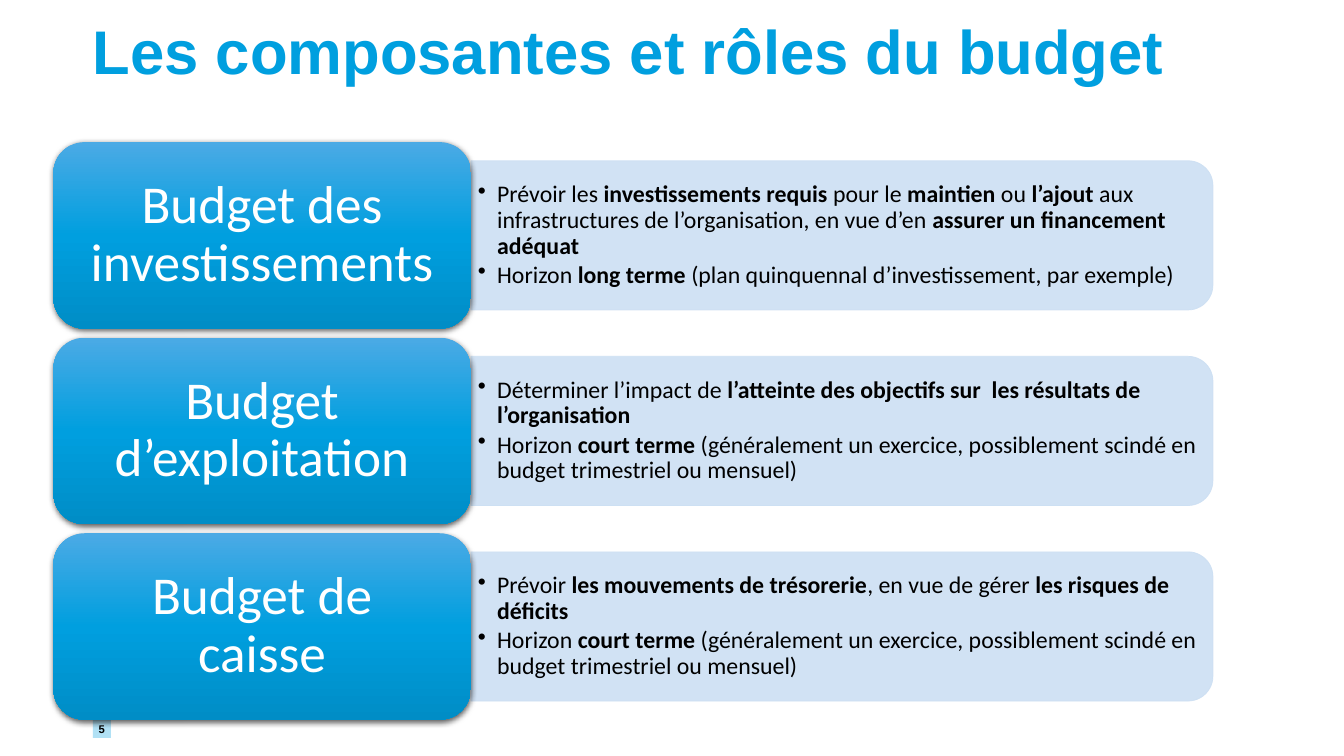
import copy
import enum
import pptx
import pptx.dml.color
import pptx.enum.shapes
import pptx.enum.text
import pptx.oxml
import pptx.oxml.ns
import pptx.util

Inches = pptx.util.Inches
Pt = pptx.util.Pt
Shape = pptx.enum.shapes.MSO_SHAPE
Align = pptx.enum.text.PP_ALIGN
Anchor = pptx.enum.text.MSO_ANCHOR
qn = pptx.oxml.ns.qn
NS = pptx.oxml.ns.nsdecls("a")


class Theme:
    blue, pale, badge = "009FDF", "CCDFF3", "3CB5E6"
    fade = ("4BAAE5", "009FDF", "008DC6")
    black, white = "000000", "FFFFFF"
    head, body = "Arial", "Calibri"
    title, card, item, page = 44, 38, 17, 8


ROWS = [
    ("Budget des investissements ", [
        "Prévoir les *investissements requis *pour le* maintien *ou *l’ajout *aux infrastructures "
        "de l’organisation, en vue d’en *assurer un financement adéquat",
        "Horizon *long terme *(plan quinquennal d’investissement, par exemple)"]),
    ("Budget d’exploitation", [
        "Déterminer l’impact de *l’atteinte des objectifs sur  les résultats de l’organisation",
        "Horizon *court terme *(généralement un exercice, possiblement scindé en "
        "budget trimestriel ou mensuel)"]),
    ("Budget de caisse", [
        "Prévoir *les mouvements de trésorerie*, en vue de gérer *les risques de déficits",
        "Horizon *court terme *(généralement un exercice, possiblement scindé en "
        "budget trimestriel ou mensuel)"]),
]
LEFT, TOP, STEP = 0.53, 1.41, 1.94
CARD_W, CARD_H = 4.14, 1.85
PANE_W, PANE_H = 7.36, 1.48
TEXT_W, TEXT_H = 7.29, 1.33


def rgb(code):
    return pptx.dml.color.RGBColor.from_string(code)


def place(x, y, w, h):
    return [Inches(v) for v in (x, y, w, h)]


def fade(fill, alpha):
    color = fill._xPr.find(qn("a:solidFill"))[0]
    color.append(pptx.oxml.parse_xml(f'<a:alpha {NS} val="{alpha * 1000}"/>'))


def frame(shape, pad_x, pad_y, anchor):
    box = shape.text_frame
    box.word_wrap = True
    box.vertical_anchor = anchor
    box.margin_left = box.margin_right = Inches(pad_x)
    box.margin_top = box.margin_bottom = Inches(pad_y)
    return box


def write(para, text, font, size, color, bold=False):
    run = para.add_run()
    run.text = text
    run.font.name = font
    run.font.size = Pt(size)
    run.font.bold = bold
    run.font.color.rgb = rgb(color)


def add_title(slide, text):
    shape = slide.shapes.add_textbox(*place(0.92, 0.53, 12.15, 0.75))
    para = frame(shape, 0, 0, Anchor.TOP).paragraphs[0]
    para.line_spacing = Pt(24)
    write(para, text, Theme.head, Theme.title, Theme.blue, True)


def add_page(slide, text):
    shape = slide.shapes.add_shape(Shape.RECTANGLE, *place(0.92, 7.14, 0.18, 0.18))
    shape.shadow.inherit = False
    shape.fill.solid()
    shape.fill.fore_color.rgb = rgb(Theme.badge)
    fade(shape.fill, 40)
    shape.line.fill.background()
    para = frame(shape, 0, 0, Anchor.MIDDLE).paragraphs[0]
    para.alignment = Align.CENTER
    write(para, text, Theme.head, Theme.page, Theme.black, True)


def add_pane(slide, mid):
    x = LEFT + CARD_W + (PANE_W - PANE_H) / 2
    shape = slide.shapes.add_shape(
        Shape.ROUND_2_SAME_RECTANGLE, *place(x, mid - PANE_W / 2, PANE_H, PANE_W))
    shape.rotation = 90
    shape.shadow.inherit = False
    shape.fill.solid()
    shape.line.width = Pt(0.5)
    shape.line.fill.solid()
    for fill in (shape.fill, shape.line.fill):
        fill.fore_color.rgb = rgb(Theme.pale)
        fade(fill, 90)


def add_items(slide, mid, items):
    shape = slide.shapes.add_textbox(
        *place(LEFT + CARD_W, mid - TEXT_H / 2, TEXT_W, TEXT_H))
    box = frame(shape, 0.07, 0.04, Anchor.MIDDLE)
    for i, item in enumerate(items):
        para = box.add_paragraph() if i else box.paragraphs[0]
        para.line_spacing = 0.9
        para.space_after = Pt(2.6)
        props = para._p.get_or_add_pPr()
        props.set("marL", str(Inches(0.19)))
        props.set("indent", str(-Inches(0.19)))
        props.append(pptx.oxml.parse_xml(f'<a:buChar {NS} char="•"/>'))
        for j, part in enumerate(item.split("*")):
            write(para, part, Theme.body, Theme.item, Theme.black, j % 2 == 1)


def add_card(slide, mid, text):
    shape = slide.shapes.add_shape(
        Shape.ROUNDED_RECTANGLE, *place(LEFT, mid - CARD_H / 2, CARD_W, CARD_H))
    shape.fill.gradient()
    shape.fill.gradient_angle = 270
    stops = shape._element.spPr.find(".//" + qn("a:gsLst"))
    stops.append(copy.deepcopy(stops[-1]))
    for i, (stop, color) in enumerate(zip(shape.fill.gradient_stops, Theme.fade)):
        stop.position = i / 2
        stop.color.rgb = rgb(color)
    shape.line.fill.background()
    shape.shadow.inherit = False
    shape._element.spPr.find(qn("a:effectLst")).append(pptx.oxml.parse_xml(
        f'<a:outerShdw {NS} blurRad="{Pt(4.5)}" dist="{Pt(1.5)}" dir="5400000" rotWithShape="0">'
        f'<a:srgbClr val="{Theme.black}"><a:alpha val="63000"/></a:srgbClr></a:outerShdw>'))
    para = frame(shape, 0.25, 0.17, Anchor.MIDDLE).paragraphs[0]
    para.alignment = Align.CENTER
    para.line_spacing = 0.9
    write(para, text, Theme.body, Theme.card, Theme.white)


def main():
    deck = pptx.Presentation()
    deck.slide_width, deck.slide_height = Inches(13.33), Inches(7.5)
    slide = deck.slides.add_slide(deck.slide_layouts[6])
    add_title(slide, "Les composantes et rôles du budget")
    add_page(slide, "5")
    for i, (name, items) in enumerate(ROWS):
        mid = TOP + CARD_H / 2 + i * STEP
        add_pane(slide, mid)
        add_items(slide, mid, items)
        add_card(slide, mid, name)
    deck.save("out.pptx")


if __name__ == "__main__":
    main()
